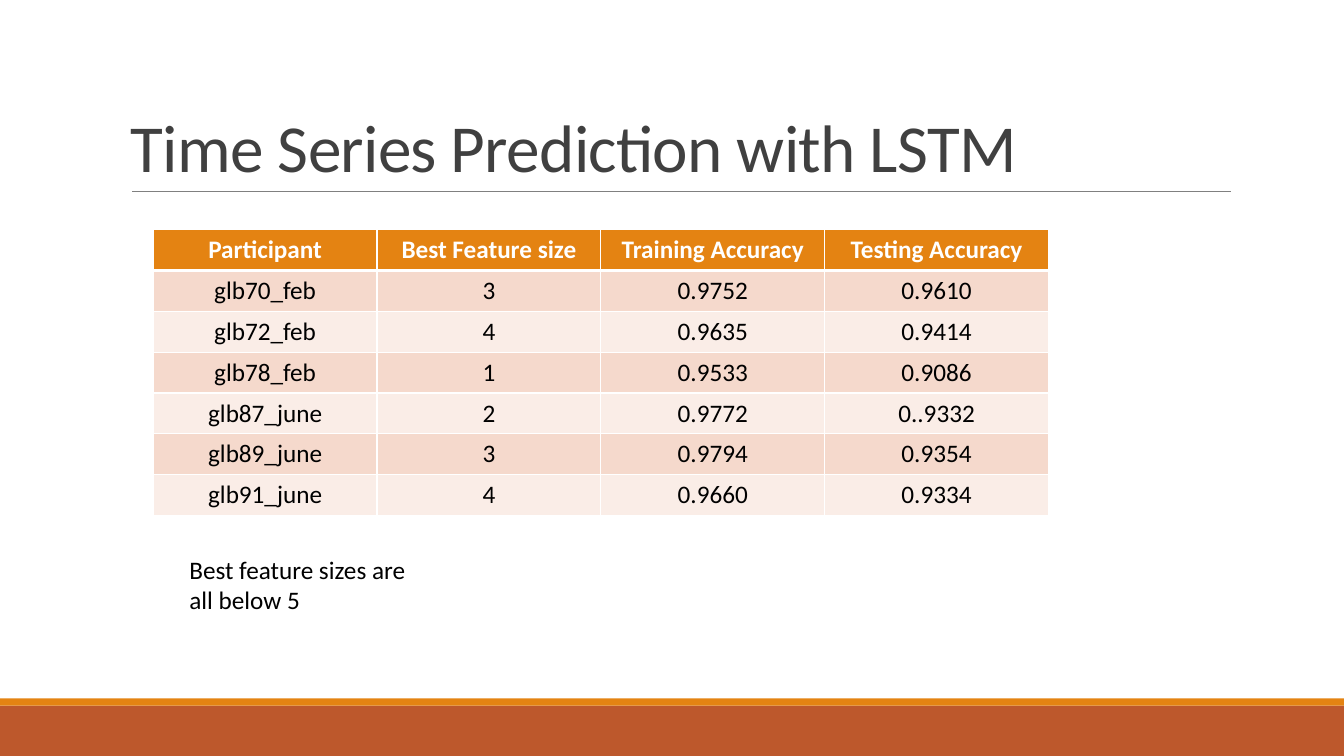
from lxml.etree import SubElement
from pptx import Presentation
from pptx.dml.color import RGBColor
from pptx.enum.shapes import MSO_CONNECTOR, MSO_SHAPE
from pptx.enum.text import MSO_ANCHOR, PP_ALIGN
from pptx.oxml.ns import qn
from pptx.util import Inches, Pt

COLORS = {
    "orange": "E48312",
    "rust": "BD582C",
    "rule": "808080",
    "title": "404040",
    "text": "000000",
    "white": "FFFFFF",
    "dark_band": "F5D9CC",
    "light_band": "FAEDE7",
}
ROWS = [
    ("Participant", "Best Feature size", "Training Accuracy", "Testing Accuracy"),
    ("glb70_feb", "3", "0.9752", "0.9610"),
    ("glb72_feb", "4", "0.9635", "0.9414"),
    ("glb78_feb", "1", "0.9533", "0.9086"),
    ("glb87_june", "2", "0.9772", "0..9332"),
    ("glb89_june", "3", "0.9794", "0.9354"),
    ("glb91_june", "4", "0.9660", "0.9334"),
]
COLUMN_WIDTH = 2.22
ROW_HEIGHT = 0.405


def color(name):
    return RGBColor.from_string(COLORS[name])


def write(frame, text, size, color_name, bold=False):
    """Fill a text frame with one paragraph and return that paragraph."""
    frame.text = text
    para = frame.paragraphs[0]
    font = para.runs[0].font
    font.name, font.size, font.bold = "Calibri", Pt(size), bold
    font.color.rgb = color(color_name)
    return para


deck = Presentation()
deck.slide_width, deck.slide_height = Inches(13.33), Inches(7.5)
page = deck.slides.add_slide(deck.slide_layouts[6])

# Footer bands
for top, height, fill in [(7, 0.5, "rust"), (6.93, 0.07, "orange")]:
    band = page.shapes.add_shape(
        MSO_SHAPE.RECTANGLE, 0, Inches(top), deck.slide_width, Inches(height))
    band.shadow.inherit = False
    band.fill.solid()
    band.fill.fore_color.rgb = color(fill)
    band.line.fill.background()

# Title and the rule below it
rule = page.shapes.add_connector(
    MSO_CONNECTOR.STRAIGHT, Inches(1.31), Inches(1.9), Inches(12.21), Inches(1.9))
rule.line.color.rgb = color("rule")
rule.line.width = Pt(0.5)
SubElement(rule.line._get_or_add_ln().getparent(), qn("a:effectLst"))

title = page.shapes.add_textbox(Inches(1.2), Inches(0.31), Inches(11), Inches(1.59))
title.text_frame.word_wrap = True
title.text_frame.vertical_anchor = MSO_ANCHOR.BOTTOM
title_para = write(title.text_frame, "Time Series Prediction with LSTM", 48, "title")
title_para.line_spacing = 0.85
title_para.runs[0].font._element.set("spc", "-50")

# Accuracy table
table = page.shapes.add_table(
    len(ROWS), len(ROWS[0]), Inches(1.52), Inches(2.28),
    Inches(COLUMN_WIDTH * len(ROWS[0])), Inches(ROW_HEIGHT * len(ROWS))).table
for column in table.columns:
    column.width = Inches(COLUMN_WIDTH)

for row_index, values in enumerate(ROWS):
    table.rows[row_index].height = Inches(ROW_HEIGHT)
    is_header = row_index == 0
    if is_header:
        fill, text_color = "orange", "white"
    else:
        fill, text_color = ("dark_band" if row_index % 2 else "light_band"), "text"
    for column_index, value in enumerate(values):
        cell = table.cell(row_index, column_index)
        para = write(cell.text_frame, value, 18, text_color, is_header)
        para.alignment = PP_ALIGN.CENTER
        properties = cell._tc.get_or_add_tcPr()
        for side in ("lnL", "lnR", "lnT", "lnB"):
            under_header = (is_header and side == "lnB") or (row_index == 1 and side == "lnT")
            width = Pt(3 if under_header else 1)
            border = SubElement(properties, qn(f"a:{side}"), w=str(width))
            border_fill = SubElement(border, qn("a:solidFill"))
            SubElement(border_fill, qn("a:srgbClr"), val=COLORS["white"])
        cell.fill.solid()
        cell.fill.fore_color.rgb = color(fill)

# Finding below the table
note = page.shapes.add_textbox(Inches(1.78), Inches(5.45), Inches(2.54), Inches(0.71))
note.text_frame.word_wrap = True
write(note.text_frame, "Best feature sizes are all below 5", 18, "text")

deck.save("out.pptx")
